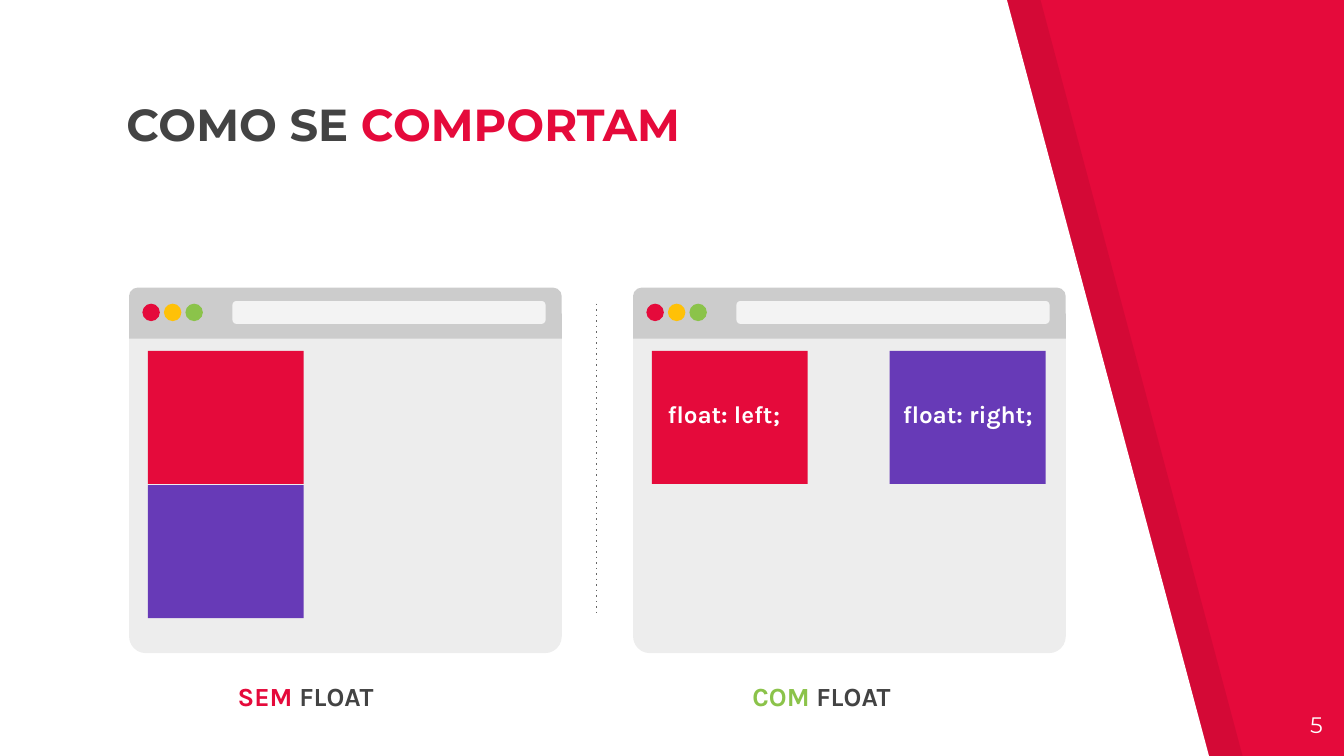
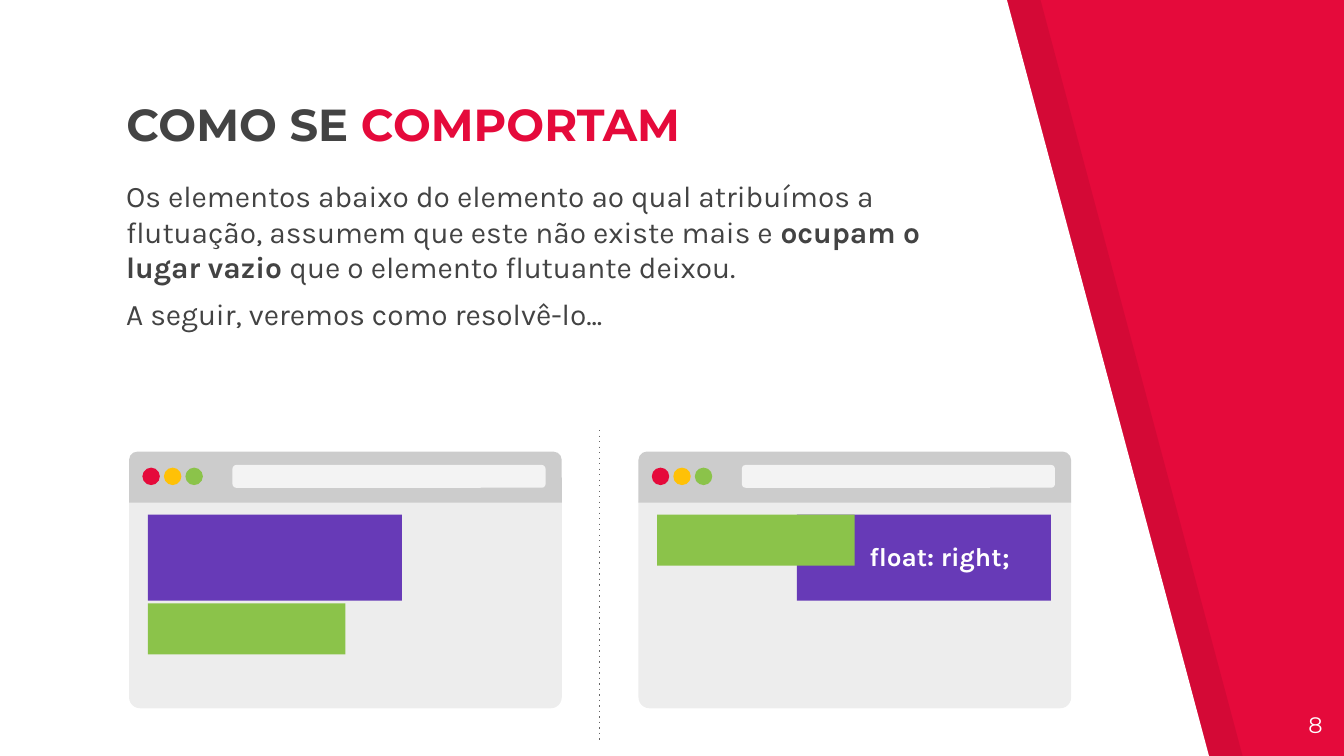
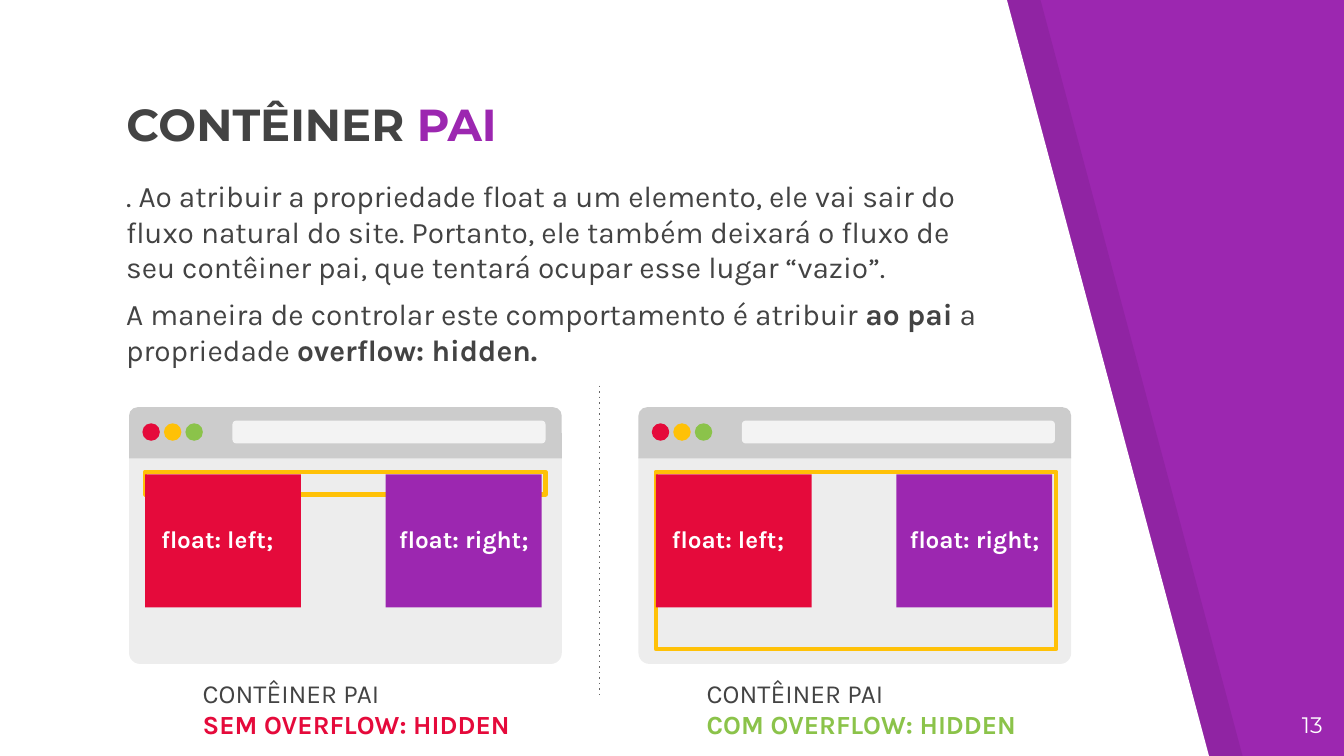
from lxml import etree
from pptx import Presentation
from pptx.dml.color import RGBColor
from pptx.enum.shapes import MSO_CONNECTOR, MSO_SHAPE
from pptx.enum.text import MSO_ANCHOR, PP_ALIGN
from pptx.oxml.ns import qn
from pptx.util import Inches, Pt

RECT = MSO_SHAPE.RECTANGLE
OVAL = MSO_SHAPE.OVAL
ROUNDED = MSO_SHAPE.ROUNDED_RECTANGLE
ROUND_TOP = MSO_SHAPE.ROUND_2_SAME_RECTANGLE
STRAIGHT = MSO_CONNECTOR.STRAIGHT
TOP, BOTTOM = MSO_ANCHOR.TOP, MSO_ANCHOR.BOTTOM
LEFT, RIGHT = PP_ALIGN.LEFT, PP_ALIGN.RIGHT

RED = RGBColor(0xE5, 0x0A, 0x3B)
PURPLE = RGBColor(0x9C, 0x27, 0xB0)
VIOLET = RGBColor(0x67, 0x3A, 0xB7)
GREEN = RGBColor(0x8B, 0xC3, 0x4A)
AMBER = RGBColor(0xFF, 0xC1, 0x07)
INK = RGBColor(0x43, 0x43, 0x43)
DIVIDER = RGBColor(0x66, 0x66, 0x66)
TOOLBAR = RGBColor(0xCC, 0xCC, 0xCC)
ADDRESS = RGBColor(0xF3, 0xF3, 0xF3)
WHITE = RGBColor(0xFF, 0xFF, 0xFF)
BLACK = RGBColor(0, 0, 0)

TITLE = {"name": "Montserrat", "size": Pt(24), "bold": True, "color": INK}
NUMBER = {"name": "Montserrat", "size": Pt(12), "color": WHITE}
BODY = {"name": "Karla", "size": Pt(16), "color": INK}
CAPTION = {"name": "Karla", "size": Pt(14), "color": INK}
LABEL = {"name": "Karla", "size": Pt(13), "bold": True, "color": WHITE}
BOLD = {"bold": True}


def add_block(shapes, kind, box, fill=None, corner=None, alpha=None, outline=None):
    block = shapes.add_shape(kind, *map(Inches, box))
    block.shadow.inherit = False
    if corner is not None:
        block.adjustments[0] = corner
    if fill is None:
        block.fill.background()
    else:
        block.fill.solid()
        block.fill.fore_color.rgb = fill
    if alpha:
        color = block.element.spPr.find(".//" + qn("a:srgbClr"))
        etree.SubElement(color, qn("a:alpha"), val=alpha)
    if outline is None:
        block.line.fill.background()
    else:
        block.line.color.rgb = outline
        block.line.width = Pt(2.25)
    return block


def write_text(holder, box, paragraphs, style, anchor=TOP, align=LEFT, before=0):
    holder.left, holder.top, holder.width, holder.height = map(Inches, box)
    frame = holder.text_frame
    frame.word_wrap = True
    frame.vertical_anchor = anchor
    for side in ("left", "top", "right", "bottom"):
        setattr(frame, f"margin_{side}", Inches(0.1))
    for index, spans in enumerate(paragraphs):
        para = frame.add_paragraph() if index else frame.paragraphs[0]
        para.alignment = align
        para.space_before = Pt(before)
        for text, changes in spans:
            span = para.add_run()
            span.text = text
            for name, value in {**style, **changes}.items():
                if name == "color":
                    span.font.color.rgb = value
                else:
                    setattr(span.font, name, value)


behave_title = [("COMO SE", {}), (" COMPORTAM", {"color": RED})]
slides = [
    {
        "number": "5",
        "accent": RED,
        "title": behave_title,
        "body": [],
        "windows": (0.96, 4.71),
        "top": 2.14,
        "body_height": 2.35,
        "divider": (4.44, 2.26),
        "blocks": [
            (1.1, 2.61, 1.16, 0.99, RED),
            (1.1, 3.61, 1.16, 0.99, VIOLET),
            (4.85, 2.61, 1.16, 0.99, RED),
            (6.62, 2.61, 1.16, 0.99, VIOLET),
        ],
        "frames": [],
        "labels": [(4.87, 2.87, "float: left;", {}), (6.62, 2.87, "float: right;", {})],
        "captions": [
            (1.67, 4.96, [[("SEM ", {"color": RED, **BOLD}), ("FLOAT", BOLD)]]),
            (5.5, 4.96, [[("COM ", {"color": GREEN, **BOLD}), ("FLOAT", BOLD)]]),
        ],
    },
    {
        "number": "8",
        "accent": RED,
        "title": behave_title,
        "body": [
            [
                ("Os elementos abaixo do elemento ao qual atribuímos a flutuação, "
                 "assumem que este não existe mais e ", {}),
                ("ocupam o lugar vazio ", BOLD),
                ("que o elemento flutuante deixou.", {}),
            ],
            [("A seguir, veremos como resolvê-lo...", {})],
        ],
        "body_box": (0.84, 1.22, 6.41, 1),
        "windows": (0.96, 4.75),
        "top": 3.36,
        "body_height": 1.54,
        "divider": (4.46, 3.2),
        "blocks": [
            (1.1, 3.83, 1.89, 0.64, VIOLET),
            (1.1, 4.49, 1.47, 0.38, GREEN),
            (5.93, 3.83, 1.89, 0.64, VIOLET),
            (4.89, 3.83, 1.47, 0.38, GREEN),
        ],
        "frames": [],
        "labels": [(6.37, 3.92, "float: right;", {"size": Pt(14)})],
        "captions": [],
    },
    {
        "number": "13",
        "accent": PURPLE,
        "title": [("CONTÊINER ", {}), ("PAI", {"color": PURPLE})],
        "body": [
            [(". Ao atribuir a propriedade float a um elemento, ele vai sair do fluxo "
              "natural do site. Portanto, ele também deixará o fluxo de seu contêiner "
              "pai, que tentará ocupar esse lugar “vazio”.", {})],
            [
                ("A maneira de controlar este comportamento é atribuir ", {}),
                ("ao pai", BOLD),
                (" a propriedade ", {}),
                ("overflow: hidden.", BOLD),
            ],
        ],
        "body_box": (0.84, 1.22, 6.62, 0.86),
        "windows": (0.96, 4.75),
        "top": 3.03,
        "body_height": 1.54,
        "divider": (4.46, 2.87),
        "blocks": [
            (x, 3.53, 1.16, 0.99, color)
            for left in (1.08, 4.88)
            for x, color in ((left, RED), (left + 1.79, PURPLE))
        ],
        "frames": [(1.08, 3.51, 2.98, 0.17), (4.88, 3.51, 2.98, 1.32)],
        "labels": [
            (x, 3.8, text, {})
            for left in (1.08, 4.88)
            for x, text in ((left + 0.02, "float: left;"), (left + 1.79, "float: right;"))
        ],
        "captions": [
            (x, 4.94, [[("CONTÊINER PAI", {})], [(text, {"color": color, **BOLD})]])
            for x, text, color in (
                (1.41, "SEM OVERFLOW: HIDDEN", RED),
                (5.16, "COM OVERFLOW: HIDDEN", GREEN),
            )
        ],
    },
]

deck = Presentation()
deck.slide_width = Inches(10)
deck.slide_height = deck.slide_width * 9 // 16
layout = deck.slide_layouts[5]
pages = [deck.slides.add_slide(layout) for _ in slides]

for shape_id, left, color, alpha in ((20, 0.25, BLACK, "7000"), (21, 0, WHITE, None)):
    outline = pages[0].shapes.build_freeform(Inches(left), Inches(-0.01))
    corners = [(left, 5.64), (left + 9, 5.64), (left + 7.49, -0.01)]
    outline.add_line_segments([(Inches(x), Inches(y)) for x, y in corners], close=True)
    panel = outline.convert_to_shape()
    panel.shadow.inherit = False
    panel.fill.solid()
    panel.fill.fore_color.rgb = color
    panel.line.fill.background()
    if alpha:
        tint = panel.element.spPr.find(".//" + qn("a:srgbClr"))
        etree.SubElement(tint, qn("a:alpha"), val=alpha)
    panel.element.nvSpPr.cNvPr.set("id", str(shape_id))
    layout.shapes.element.append(panel.element)

for page, content in zip(pages, slides):
    shapes = page.shapes
    page.background.fill.solid()
    page.background.fill.fore_color.rgb = content["accent"]
    write_text(shapes.title, (0.84, 0.77, 5.25, 0.45), [content["title"]], TITLE, anchor=BOTTOM)
    number = shapes.add_textbox(0, 0, 0, 0)
    write_text(number, (9.34, 5.19, 0.6, 0.43), [[(content["number"], {})]], NUMBER, align=RIGHT)
    if content["body"]:
        body = shapes.add_textbox(0, 0, 0, 0)
        write_text(body, content["body_box"], content["body"], BODY, before=6)

    top = content["top"]
    for left in content["windows"]:
        canvas = add_block(shapes, ROUND_TOP, (left, top + 0.37, 3.22, content["body_height"]),
                           BLACK, corner=0.053, alpha="7000")
        canvas.rotation = 180
        add_block(shapes, ROUND_TOP, (left, top, 3.22, 0.38), TOOLBAR, corner=0.167)
        buttons = shapes.add_group_shape()
        for index, color in enumerate((RED, AMBER, GREEN)):
            button_box = (left + 0.1 + 0.16 * index, top + 0.12, 0.13, 0.13)
            add_block(buttons.shapes, OVAL, button_box, color)
        add_block(shapes, ROUNDED, (left + 0.77, top + 0.1, 2.33, 0.17), ADDRESS, corner=0.167)

    x, y = content["divider"]
    divider = shapes.add_connector(STRAIGHT, Inches(x), Inches(y), Inches(x), Inches(y + 2.32))
    divider.line.color.rgb = DIVIDER
    divider.line.width = Pt(0.75)
    etree.SubElement(divider.element.spPr.find(qn("a:ln")), qn("a:prstDash"), val="dot")
    etree.SubElement(divider.element.spPr, qn("a:effectLst"))

    for frame_box in content["frames"]:
        add_block(shapes, RECT, frame_box, outline=AMBER)
    for *block_box, color in content["blocks"]:
        add_block(shapes, RECT, block_box, color)
    for x, y, text, changes in content["labels"]:
        label = shapes.add_textbox(0, 0, 0, 0)
        width = 1.16 if "left" in text else 1.47
        write_text(label, (x, y, width, 0.46), [[(text, changes)]], LABEL)
    for x, y, lines in content["captions"]:
        caption = shapes.add_textbox(0, 0, 0, 0)
        width = 1.79 if len(lines) == 1 else 2.86
        write_text(caption, (x, y, width, 0.46), lines, CAPTION)

deck.save("out.pptx")
